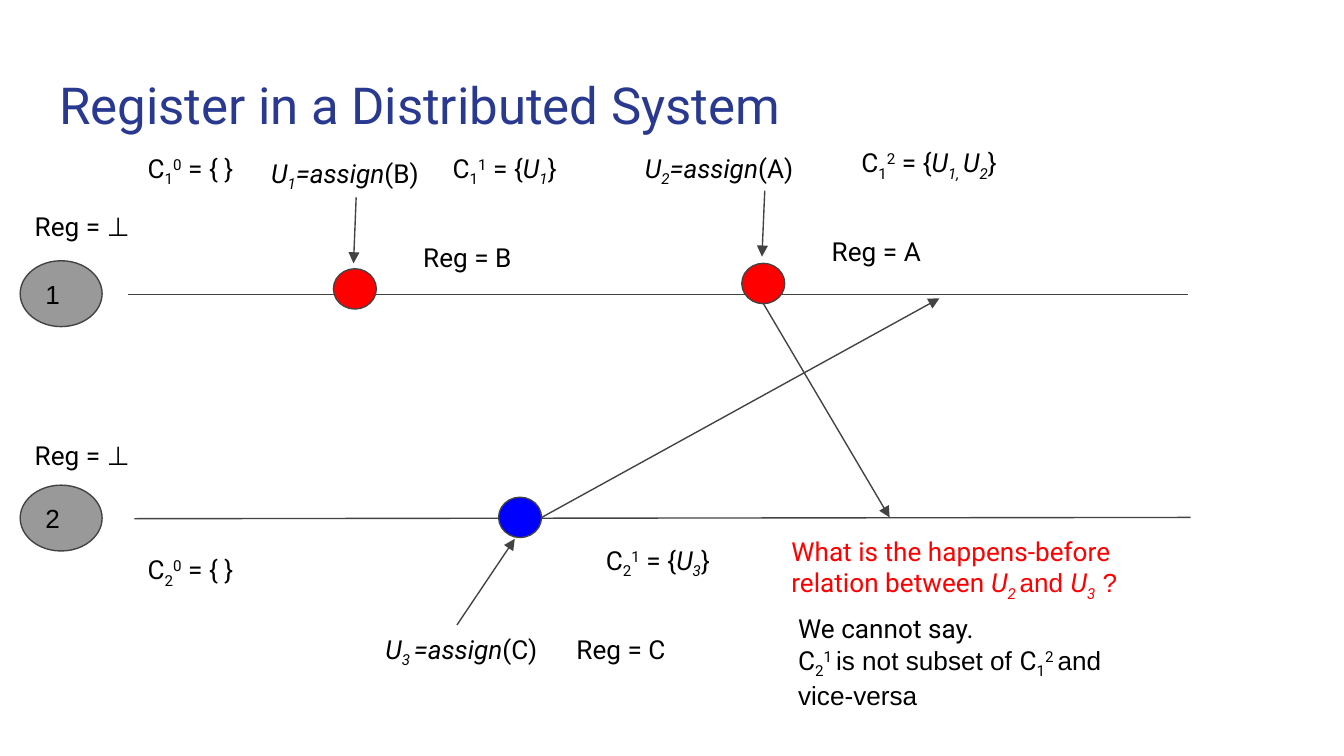
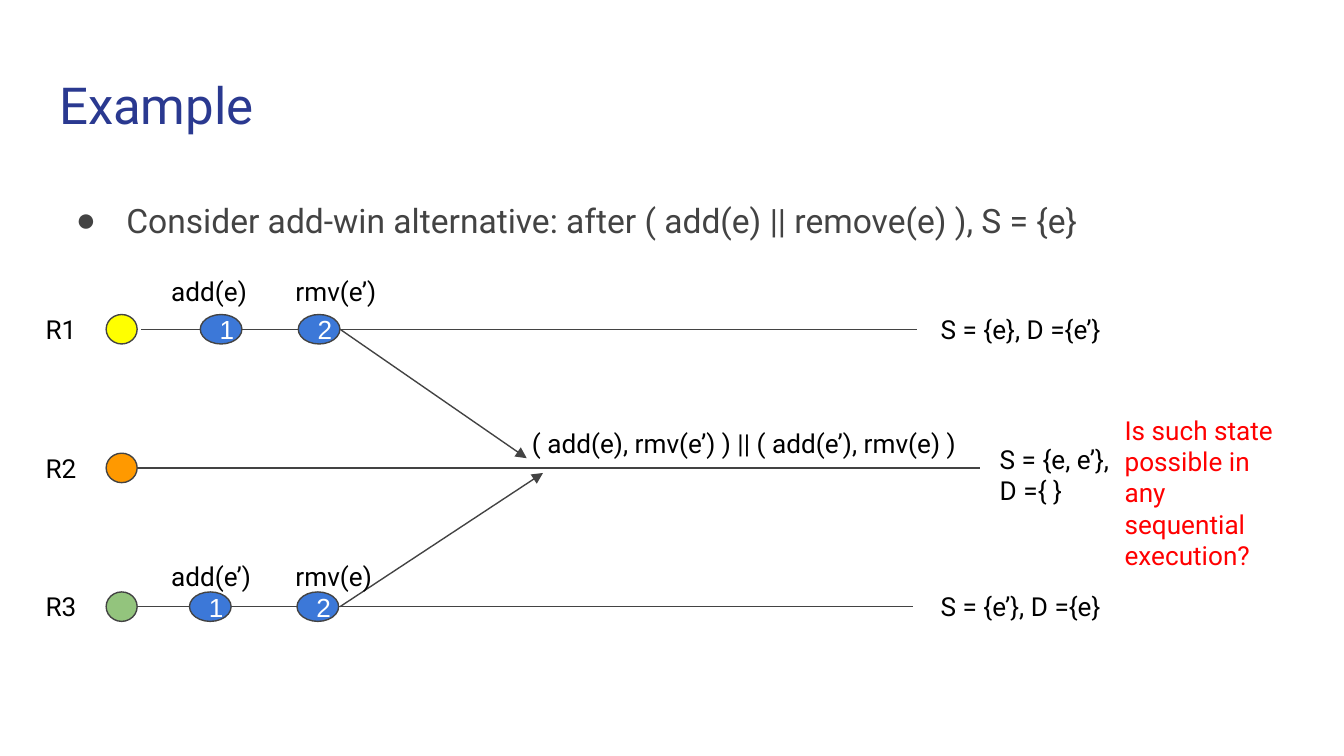
from lxml.etree import SubElement
from pptx import Presentation
from pptx.dml.color import RGBColor
from pptx.enum.shapes import MSO_CONNECTOR, MSO_SHAPE
from pptx.enum.text import MSO_ANCHOR, MSO_AUTO_SIZE, PP_ALIGN
from pptx.oxml.ns import qn
from pptx.util import Pt

HEX = {
    "navy": "2A3990", "ink": "434343", "black": "000000", "white": "FFFFFF",
    "gray": "999999", "red": "FF0000", "blue": "0000FF", "sky": "3C78D8",
    "yellow": "FFFF00", "orange": "FF9900", "green": "93C47D",
}
RGB = {name: RGBColor.from_string(code) for name, code in HEX.items()}
BASE = {"_": "-25000", "^": "30000"}


def write(shape, text, color="black", size=14, anchor=MSO_ANCHOR.TOP):
    """Marks toggle a style: _ subscript, ^ superscript, * italic, ~ Arial."""
    frame = shape.text_frame
    frame.word_wrap = True
    frame.auto_size = MSO_AUTO_SIZE.NONE
    frame.vertical_anchor = anchor
    frame.margin_left = frame.margin_right = Pt(7.2)
    frame.margin_top = frame.margin_bottom = Pt(7.2)
    for row, part in enumerate(text.split("\n")):
        para = frame.add_paragraph() if row else frame.paragraphs[0]
        para.alignment = PP_ALIGN.LEFT
        para.space_before = Pt(0)
        on, word = set(), ""
        for char in part + "~":
            if char not in "_^*~":
                word += char
                continue
            if word:
                run = para.add_run()
                run.text = word
                run.font.size = Pt(size)
                run.font.name = "Arial" if "~" in on else "Roboto"
                run.font.italic = "*" in on
                run.font.color.rgb = RGB[color]
                for mark in on & set(BASE):
                    run.font._element.set("baseline", BASE[mark])
            word = ""
            on ^= {char}


def place(shape, x, y, w, h):
    shape.left, shape.top, shape.width, shape.height = Pt(x), Pt(y), Pt(w), Pt(h)


deck = Presentation()
deck.slide_width, deck.slide_height = Pt(720), Pt(405)

# Register slide: lines are x1, y1, x2, y2, arrow
reg_lines = [
    (68.4, 157.7, 636.5, 157.7, False),
    (72, 277.9, 637.9, 277.2, False),
    (190.8, 105.8, 189.4, 141.1, True),
    (409.7, 102.2, 408.2, 137.5, True),
    (244.8, 334.8, 275.8, 288.7, True),
    (290.2, 277.2, 503.3, 159.8, True),
    (409, 162.7, 476.6, 277.2, True),
]
# Ovals are x, y, w, h, fill, label, label colour
reg_ovals = [(10.8, 139.7 + 120.2 * i, 43.9, 35.3, "gray", str(i + 1), "black")
             for i in range(2)]
reg_ovals += [(x, y, 23, 21.6, fill, "", "black") for x, y, fill in [
    (178.6, 144, "red"), (397.4, 141.1, "red"), (267.1, 266.4, "blue")]]
# Notes are x, y, w, h, text, colour
reg_notes = [(x, y, 66.2, 31, "Reg = " + value, "black") for x, y, value in [
    (11.5, 105.8, "⊥"), (11.5, 228.2, "⊥"), (219.6, 122.4, "B"),
    (438.5, 118.8, "A"), (301.7, 331.9, "C")]]
reg_notes += [(x, y, w, 33.1, text, "black") for x, y, w, text in [
    (72, 74.2, 86.4, "C_1_^0^ = { }"),
    (72, 289.4, 86.4, "C_2_^0^ = { }"),
    (235.4, 74.2, 86.4, "C_1_^1^ = {*U_1_*}"),
    (317.5, 284.4, 86.4, "C_2_^1^ = {*U_3_*}"),
    (454.3, 71.3, 107.3, "C_1_^2^ = {*U_1, _U_2_*}"),
    (138.2, 77, 115.9, "*U_1_=assign*(B)"),
    (338.4, 74.2, 115.9, "*U_2_=assign*(A)"),
    (199.4, 331.9, 128.2, "*U_3 _=assign*(C)")]]
reg_notes += [
    (416.9, 279.4, 225.4, 50.4, "What is the happens-before relation between "
     "*U_2 _*~and ~*U_3_*~ ?~", "red"),
    (420.5, 321.1, 199.4, 83.5, "We cannot say.\n"
     "C_2_^1 ^~is not subset of ~C_1_^2 ^~and vice-versa~", "black"),
]

# Example slide: one row for each replica
ex_lines, ex_ovals, ex_notes = [], [], []
for i, (left, right, fill) in enumerate([
        (75.6, 491, "yellow"), (73.4, 524.9, "orange"), (73.4, 488.9, "green")]):
    y = 176.4 + 74.3 * i
    ex_lines.append((left, y, right, y, False))
    ex_ovals.append((56.9, y - 7.9, 16.6, 15.8, fill, "", "black"))
    ex_notes.append((17.3, y - 15.8, 44.6, 31, f"R{i + 1}", "black"))
for y, spots, top, words, state in [
        (176.4, (107.3, 159.8), 140.4, ("add(e)", "rmv(e’)"), "S = {e}, D ={e’}"),
        (325, (101.5, 159.1), 293, ("add(e’)", "rmv(e)"), "S = {e’}, D ={e}")]:
    for i in range(2):
        ex_ovals.append((spots[i], y - 7.9, 22.3, 15.8, "sky", str(i + 1), "white"))
        ex_notes.append((84.6 + 66.6 * i, top, 63.4, 31, words[i], "black"))
    ex_notes.append((496.8, y - 15.8, 110, 31, state, "black"))
ex_lines += [(182.2, 176.4, 282.2, 245.5, True), (182.2, 325, 290.9, 253.4, True)]
ex_notes += [
    (277.9, 221.8, 251.3, 31, "( add(e), rmv(e’) ) || ( add(e’), rmv(e) )", "black"),
    (528.5, 230.4, 78.5, 48.2, "S = {e, e’},\nD ={ }", "black"),
    (595.4, 214.6, 103.7, 98.6, "Is such state possible in any sequential execution?",
     "red"),
]

for title, bullet, lines, ovals, notes in [
        ("Register in a Distributed System", "", reg_lines, reg_ovals, reg_notes),
        ("Example", "Consider add-win alternative: after ( add(e) || remove(e) ), "
         "S = {e}", ex_lines, ex_ovals, ex_notes)]:
    slide = deck.slides.add_slide(deck.slide_layouts[1 if bullet else 5])
    shapes = slide.shapes

    # Title and list
    place(shapes.title, 24.5, 32.4, 671, 47.5)
    write(shapes.title, title, color="navy", size=27.3)
    if bullet:
        body = slide.placeholders[1]
        place(body, 24.5, 96.5, 671, 262.8)
        write(body, bullet, color="ink", size=18)
        para = body.text_frame.paragraphs[0]
        para.line_spacing = 1.15
        props = para._p.get_or_add_pPr()
        props.set("marL", str(Pt(36)))
        props.set("indent", str(Pt(-27)))
        tint = SubElement(props, qn("a:buClr"))
        SubElement(tint, qn("a:srgbClr"), val=HEX["ink"])
        SubElement(props, qn("a:buChar"), char="●")

    # Time lines and arrows
    for *ends, arrow in lines:
        line = shapes.add_connector(MSO_CONNECTOR.STRAIGHT, *map(Pt, ends))
        line.line.color.rgb = RGB["ink"]
        line.line.width = Pt(0.75)
        props = line.element.spPr
        if arrow:
            SubElement(props.find(qn("a:ln")), qn("a:tailEnd"), type="triangle")
        SubElement(props, qn("a:effectLst"))

    # Replicas and events
    for x, y, w, h, fill, label, color in ovals:
        oval = shapes.add_shape(MSO_SHAPE.OVAL, Pt(x), Pt(y), Pt(w), Pt(h))
        oval.shadow.inherit = False
        oval.fill.solid()
        oval.fill.fore_color.rgb = RGB[fill]
        oval.line.color.rgb = RGB["ink"]
        oval.line.width = Pt(0.75)
        if label:
            write(oval, f"~{label}~", color=color, anchor=MSO_ANCHOR.MIDDLE)

    # Notes
    for x, y, w, h, text, color in notes:
        write(shapes.add_textbox(Pt(x), Pt(y), Pt(w), Pt(h)), text, color=color)

deck.save("out.pptx")
